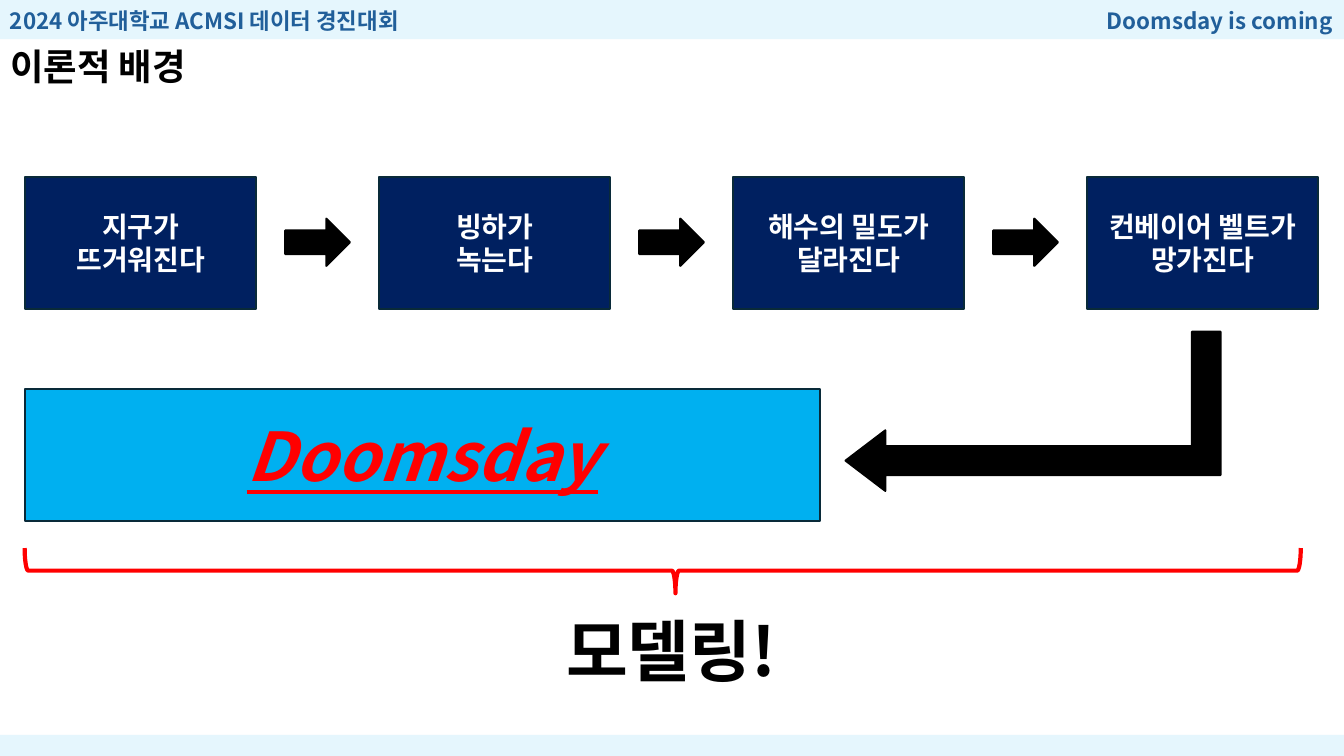
from lxml import etree
from pptx import Presentation
from pptx.dml.color import RGBColor
from pptx.enum.shapes import MSO_SHAPE
from pptx.enum.text import MSO_ANCHOR, MSO_AUTO_SIZE, PP_ALIGN
from pptx.oxml.ns import qn
from pptx.util import Cm, Pt

RECT = MSO_SHAPE.RECTANGLE
ARROW = MSO_SHAPE.RIGHT_ARROW
BENT = MSO_SHAPE.BENT_UP_ARROW
BRACE = MSO_SHAPE.RIGHT_BRACE
LEFT, CENTER = PP_ALIGN.LEFT, PP_ALIGN.CENTER
TOP, MIDDLE = MSO_ANCHOR.TOP, MSO_ANCHOR.MIDDLE
GROW = MSO_AUTO_SIZE.SHAPE_TO_FIT_TEXT
FACE = "Noto Sans CJK KR"
NAVY, EDGE, BLACK, RED = "002060", "092A39", "000000", "FF0000"


def draw(kind, place, fill=None, line=None, width=1.5):
    shape = deck.shapes.add_shape(kind, *[Cm(n) for n in place])
    shape.shadow.inherit = False
    if fill:
        shape.fill.solid()
        shape.fill.fore_color.rgb = RGBColor.from_string(fill)
    else:
        shape.fill.background()
    if line:
        shape.line.color.rgb = RGBColor.from_string(line)
        shape.line.width = Pt(width)
    else:
        shape.line.fill.background()
    return shape


def write(shape, text, size, color, align=CENTER, anchor=MIDDLE):
    frame = shape.text_frame
    frame.text = text
    frame.vertical_anchor = anchor
    for para in frame.paragraphs:
        para.alignment = align
        font = para.font
        font.size = Pt(size)
        font.bold = True
        font.color.rgb = RGBColor.from_string(color)
        font.name = FACE
        latin = para._p.pPr.find(qn("a:defRPr")).find(qn("a:latin"))
        east = etree.Element(qn("a:ea"), typeface=FACE)
        latin.addnext(east)
    return frame


prs = Presentation()
prs.slide_width, prs.slide_height = Cm(33.87), Cm(19.05)
deck = prs.slides.add_slide(prs.slide_layouts[5])

for top, high in [(0, 0.99), (18.52, 0.53)]:
    band = draw(RECT, (0, top, 33.87, high), "CAEEFB")
    tint = band._element.spPr.find(qn("a:solidFill"))[0]
    etree.SubElement(tint, qn("a:alpha"), val="48000")

title = deck.shapes.title
title.left, title.top, title.width, title.height = Cm(0), Cm(0.99), Cm(5.46), Cm(1.37)
frame = write(title, "이론적 배경", 26, BLACK, LEFT, TOP)
frame.word_wrap = False
frame.auto_size = GROW

labels = [
    ("Doomsday is coming", (27.64, 0.05, 6.22, 0.94), 16, "215F9A", LEFT),
    ("2024 아주대학교 ACMSI 데이터 경진대회", (0, 0.05, 11.28, 0.94), 16, "215F9A", LEFT),
    ("모델링!", (13.82, 15.24, 6.2, 2.31), 48, BLACK, CENTER),
]
for text, place, size, color, align in labels:
    box = deck.shapes.add_textbox(*[Cm(n) for n in place])
    frame = write(box, text, size, color, align, TOP)
    frame.word_wrap = False
    frame.auto_size = GROW

steps = [
    "지구가\n뜨거워진다",
    "빙하가\n녹는다",
    "해수의 밀도가\n달라진다",
    "컨베이어 벨트가\n망가진다",
]
pitch = 8.92
for i, step in enumerate(steps):
    box = draw(RECT, (0.64 + i * pitch, 4.45, 5.82, 3.33), NAVY, EDGE)
    write(box, step, 20, "FFFFFF")
    if i < len(steps) - 1:
        draw(ARROW, (7.19 + i * pitch, 5.51, 1.63, 1.19), BLACK, BLACK)

doom = draw(RECT, (0.64, 9.8, 20.02, 3.33), "00B0F0", EDGE)
font = write(doom, "Doomsday", 48, RED).paragraphs[0].font
font.italic = True
font.underline = True

bent = draw(BENT, (24.03, 5.64, 4.01, 9.45), BLACK, BLACK)
bent.rotation = 270
bent._element.spPr.find(qn("a:xfrm")).set("flipH", "1")
bent.adjustments[0] = 0.18
bent.adjustments[1] = 0.19
bent.adjustments[2] = 0.25

brace = draw(BRACE, (16.13, -1.7, 1.14, 32.16), None, RED, 3)
brace.rotation = 90
brace.adjustments[0] = 0.08
brace.adjustments[1] = 0.49

prs.save("out.pptx")
